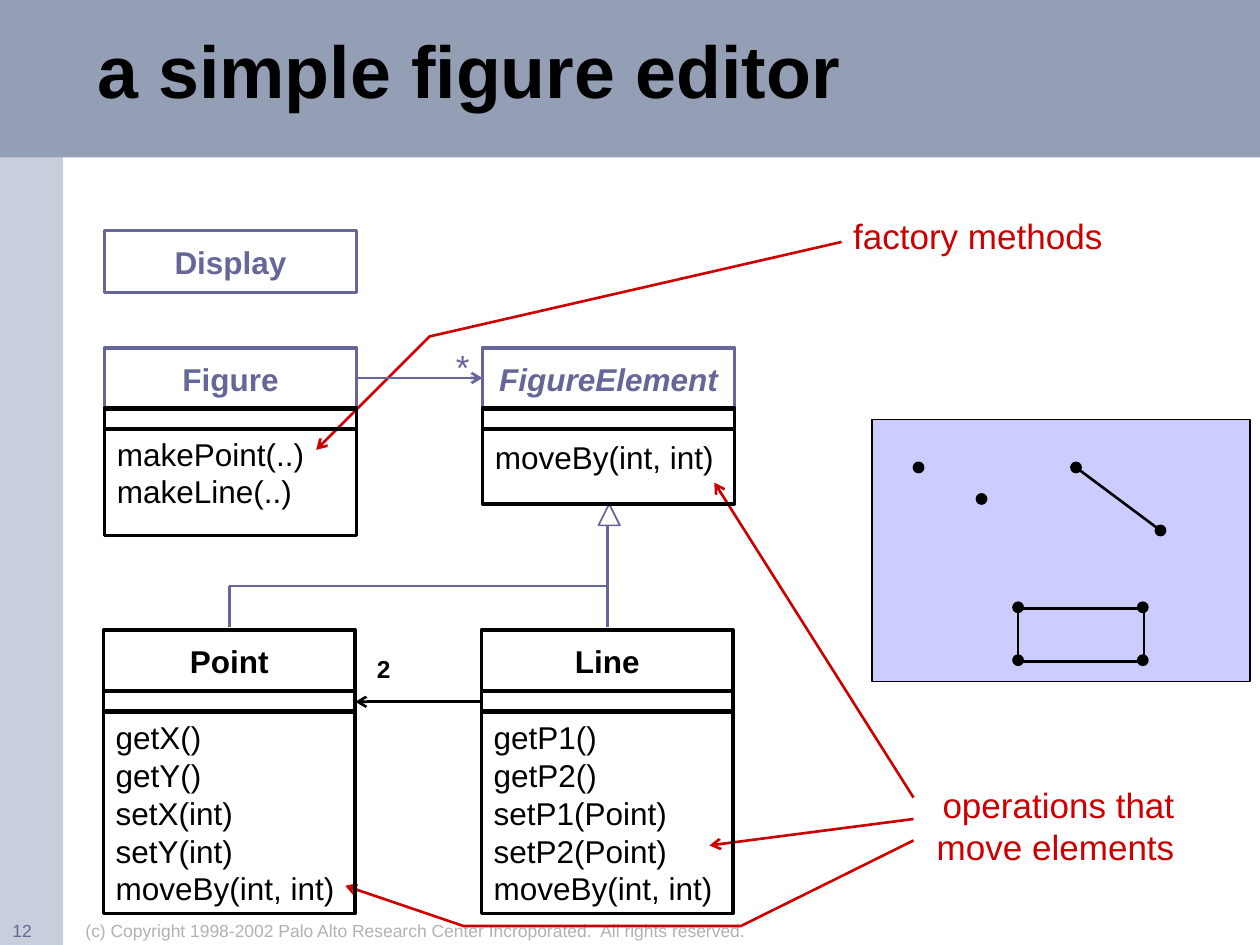
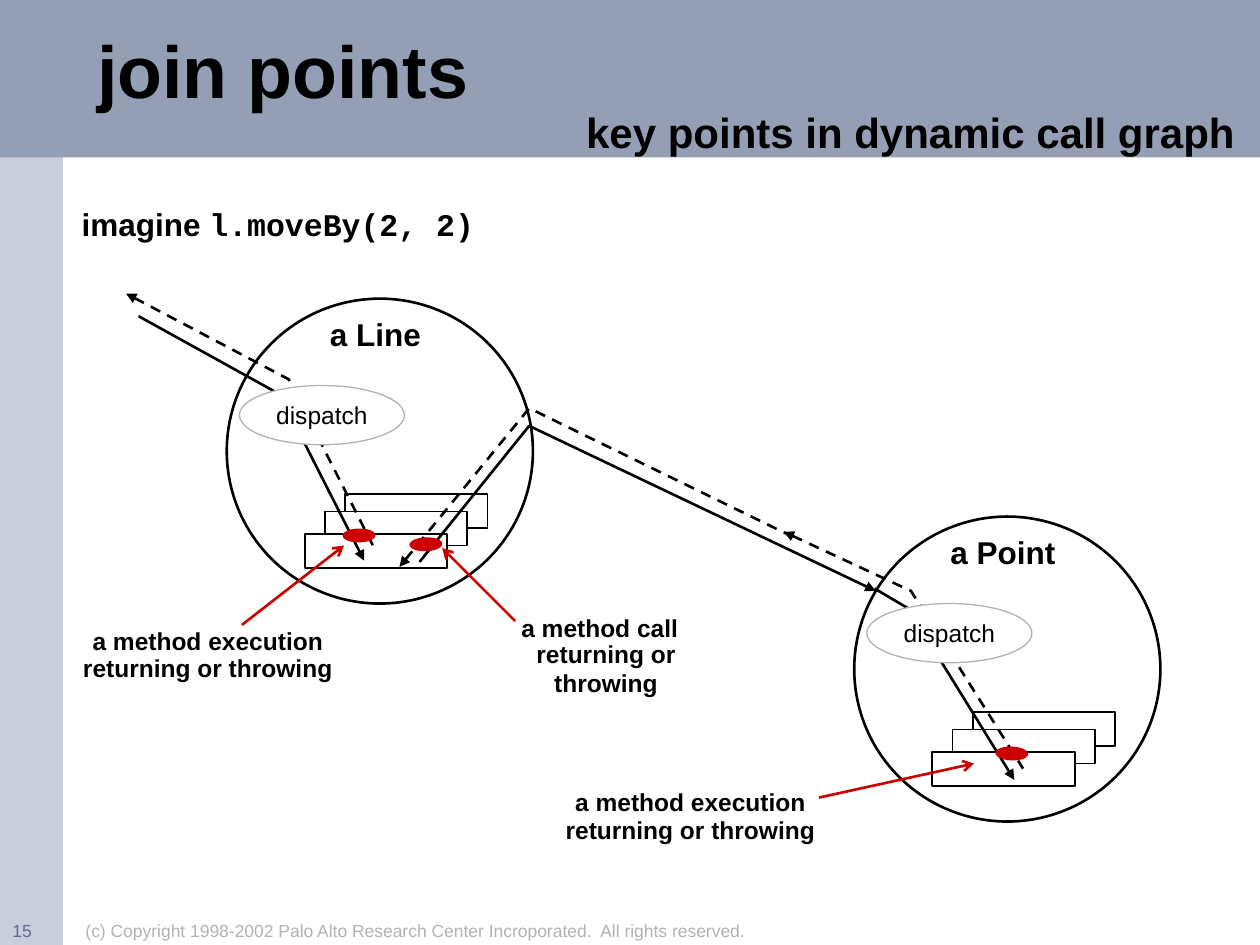
from dataclasses import dataclass
from itertools import product
from typing import Optional

from lxml import etree
from pptx import Presentation, util as u
from pptx.dml.color import RGBColor
from pptx.enum import dml, shapes, text
from pptx.oxml.ns import qn

COLORS = {
    "band": "949FB6", "side": "C8CEDC", "ink": "000000", "paper": "FFFFFF",
    "accent": "CC0000", "model": "666699", "canvas": "CCCCFF", "muted": "B2B2B2",
}
SANS, MONO = "Arial", "Courier New"
COLUMNS, ROWS = 100, 75
WIDTH, HEIGHT = u.Inches(10), u.Inches(7.5)
COPYRIGHT = ("(c) Copyright 1998-2002 Palo Alto Research Center Incroporated."
             "  All rights reserved.")
RECT, OVAL = shapes.MSO_SHAPE.RECTANGLE, shapes.MSO_SHAPE.OVAL
LEFT, CENTER, RIGHT = text.PP_ALIGN.LEFT, text.PP_ALIGN.CENTER, text.PP_ALIGN.RIGHT

Point = tuple[float, float]
Box = tuple[float, float, float, float]


@dataclass(frozen=True)
class Style:
    size: float = 18
    color: str = "ink"
    bold: bool = False
    italic: bool = False
    font: str = SANS


@dataclass(frozen=True)
class UmlClass:
    name: str
    left: float
    top: float
    body_top: float
    body_height: float
    methods: tuple[str, ...]
    color: str = "ink"
    abstract: bool = False


@dataclass(frozen=True)
class Route:
    points: tuple[Point, ...]
    color: str = "ink"
    head: Optional[str] = None
    tail: Optional[str] = None
    dashed: bool = False


@dataclass(frozen=True)
class Instance:
    label: str
    left: float
    top: float


@dataclass(frozen=True)
class JoinPoint:
    label: str
    label_box: Box
    outcome_box: Box
    center: Point
    tilt: float
    arrow: tuple[Point, Point]


CAPTION = Style(14, bold=True)
NOTE = Style(20, "accent")

# Slide 1
DISPLAY_BOX = (8.3, 18.3, 20, 4.9)
CLASSES = (
    UmlClass("Point", 8.2, 50, 56.5, 16,
             ("getX()", "getY()", "setX(int)", "setY(int)", "moveBy(int, int)")),
    UmlClass("Line", 38.2, 50, 56.5, 16,
             ("getP1()", "getP2()", "setP1(Point)", "setP2(Point)", "moveBy(int, int)")),
    UmlClass("Figure", 8.3, 27.6, 32.5, 10, ("makePoint(..)", "makeLine(..)"), "model"),
    UmlClass("FigureElement", 38.3, 27.6, 32.5, 7.5, ("moveBy(int, int)",), "model", True),
)
INHERITANCE = (
    ((18.2, 49.8), (18.2, 46.5)),
    ((48.2, 49.8), (48.2, 46.5)),
    ((18.2, 46.5), (48.2, 46.5)),
    ((48.2, 46.5), (48.2, 41.5)),
)
CALLOUTS = (
    ((72.5, 63.3), (56.7, 38.3)),
    ((72.5, 66.7), (58.8, 73.5), (36.8, 73.5), (27.4, 70.3)),
    ((72.5, 65), (56.3, 67.1)),
    ((66.8, 19.2), (34.1, 26.7), (25.1, 35.7)),
)
DRAWN_POINTS = ((77.5, 39.2), (72.5, 36.7), (91.7, 41.7), (85, 36.7),
                *product((80.4, 90.3), (47.8, 52)))

# Slide 2
INSTANCES = (Instance("a Line", 18, 23.7), Instance("a Point", 67.8, 41))
METHOD_OFFSETS = ((9.4, 15.5), (7.8, 16.9), (6.2, 18.7))
CALLS = (
    Route(((31.7, 45), (42, 32.4), (62.9, 42.6)), head="triangle", dashed=True),
    Route(((33.3, 44.6), (42, 33.8), (69.5, 46.9)), tail="triangle"),
    Route(((11, 25.1), (22.2, 31.3), (28.9, 44.5)), tail="triangle"),
    Route(((69.4, 46.7), (72.1, 48.3), (80.5, 61.9)), tail="triangle"),
    Route(((10, 23.3), (22.9, 30.1), (29.8, 43.7)), head="triangle", dashed=True),
    Route(((62.2, 42.2), (72.3, 46.9), (81.2, 61)), head="triangle", dashed=True),
)
JOIN_POINTS = (
    JoinPoint("a method call", (38, 48.2, 19.2, 3.4), (38.1, 50.2, 20, 5.7),
              (33.8, 43.2), -2.2, ((40.9, 49.3), (35.1, 43.5))),
    JoinPoint("a method execution", (6.1, 49.2, 20.8, 3.4), (5, 51.3, 23, 3.4),
              (28.5, 42.5), -0.7, ((19.2, 49.6), (27.3, 43.3))),
    JoinPoint("a method execution", (44.4, 62, 20.8, 3.4), (43.3, 64.2, 23, 3.4),
              (80.3, 59.8), 2.3, ((65, 63.3), (77.3, 60.6))),
)


def rgb(name: str) -> RGBColor:
    return RGBColor.from_string(COLORS[name])


def x(columns: float) -> int:
    return round(WIDTH * columns / COLUMNS)


def y(rows: float) -> int:
    return round(HEIGHT * rows / ROWS)


def place(box: Box) -> tuple[int, int, int, int]:
    left, top, width, height = box
    return x(left), y(top), x(width), y(height)


def add_run(paragraph, wording: str, style: Style) -> None:
    run = paragraph.add_run()
    run.text = wording
    font = run.font
    font.name, font.size = style.font, u.Pt(style.size)
    font.bold, font.italic = style.bold, style.italic
    font.color.rgb = rgb(style.color)


def write(shape, runs, align=LEFT, anchor=text.MSO_ANCHOR.TOP, wrap=True):
    """Fill a shape with (wording, style) runs; a None entry breaks the line."""
    frame = shape.text_frame
    frame.auto_size = text.MSO_AUTO_SIZE.NONE
    frame.word_wrap, frame.vertical_anchor = wrap, anchor
    paragraph = frame.paragraphs[0]
    paragraph.alignment = align
    for run in runs:
        if run is None:
            paragraph.add_line_break()
        else:
            add_run(paragraph, *run)
    return paragraph


def add_label(slide, box: Box, wording: str, style: Style, align=CENTER) -> None:
    write(slide.shapes.add_textbox(*place(box)), [(wording, style)], align)


def add_figure(slide, kind, box: Box, fill: Optional[str] = None,
               line: Optional[str] = "ink", weight: float = 1):
    shape = slide.shapes.add_shape(kind, *place(box))
    shape.shadow.inherit = False
    if fill:
        shape.fill.solid()
        shape.fill.fore_color.rgb = rgb(fill)
    else:
        shape.fill.background()
    if line:
        shape.line.color.rgb = rgb(line)
        shape.line.width = u.Pt(weight)
    else:
        shape.line.fill.background()
    return shape


def add_route(slide, route: Route) -> None:
    """Draw a straight route as a connector and a bent one as an open freeform."""
    points = [(x(column), y(row)) for column, row in route.points]
    if len(points) == 2:
        shape = slide.shapes.add_connector(
            shapes.MSO_CONNECTOR.STRAIGHT, *points[0], *points[1])
    else:
        builder = slide.shapes.build_freeform(*points[0])
        builder.add_line_segments(points[1:], close=False)
        shape = builder.convert_to_shape()
        shape.fill.background()
    shape.line.color.rgb = rgb(route.color)
    shape.line.width = u.Pt(1.5)
    if route.dashed:
        shape.line.dash_style = dml.MSO_LINE.DASH
    properties = shape.element.spPr
    outline = properties.find(qn("a:ln"))
    for tag, arrow in (("a:headEnd", route.head), ("a:tailEnd", route.tail)):
        if arrow:
            etree.SubElement(outline, qn(tag), type=arrow)
    etree.SubElement(properties, qn("a:effectLst"))


def add_bands(prs, slide) -> None:
    """Draw the side and top bands, then move them to the master's background."""
    bands = (((0, 0, 5, ROWS), "side"), ((0, 0, COLUMNS, 12.5), "band"))
    for position, (box, color) in enumerate(bands, start=2):
        band = add_figure(slide, RECT, box, color, None)
        prs.slide_master.shapes.element.insert(position, band.element)


def add_slide(prs, title: str, number: int):
    slide = prs.slides.add_slide(prs.slide_layouts[5])
    heading = slide.shapes.title
    heading.left, heading.top, heading.width, heading.height = place((6.7, 0.8, 83.3, 10.5))
    paragraph = write(heading, [(title, Style(42, bold=True))],
                      anchor=text.MSO_ANCHOR.MIDDLE)
    paragraph.line_spacing = 0.85
    add_label(slide, (5.8, 72.5, 55.8, 2.5), COPYRIGHT, Style(10, "muted"), LEFT)
    add_label(slide, (0, 72.5, 5, 2.5), str(number), Style(10, "model"), LEFT)
    return slide


def add_class_name(slide, box: Box, name: str, color: str, abstract=False) -> None:
    write(add_figure(slide, RECT, box, line=color, weight=2),
          [(name, Style(color=color, bold=True, italic=abstract))],
          CENTER, text.MSO_ANCHOR.MIDDLE, wrap=False)


def add_class(slide, uml: UmlClass) -> None:
    add_class_name(slide, (uml.left, uml.top, 20, 4.9), uml.name, uml.color, uml.abstract)
    body = add_figure(slide, RECT, (uml.left, uml.body_top, 20, uml.body_height), weight=2)
    runs = []
    for method in uml.methods:
        runs += [None, (method, Style())]
    write(body, runs[1:], anchor=text.MSO_ANCHOR.MIDDLE, wrap=False)
    add_figure(slide, RECT, (uml.left, uml.top + 4.8, 20, 1.65), weight=2)


def add_drawing_canvas(slide) -> None:
    add_figure(slide, RECT, (69.2, 33.3, 30, 20.8), "canvas")
    add_route(slide, Route(((85.4, 37.1), (92.1, 42.1))))
    add_figure(slide, RECT, (80.8, 48.3, 10, 4.2), weight=1.5)
    for left, top in DRAWN_POINTS:
        add_figure(slide, OVAL, (left, top, 0.8, 0.8), "ink")


def build_figure_editor(slide) -> None:
    add_drawing_canvas(slide)
    for points in CALLOUTS:
        add_route(slide, Route(points, "accent", tail="arrow"))
    add_label(slide, (71.7, 61.7, 22.5, 7.7), "operations that move elements", NOTE, RIGHT)
    add_label(slide, (66, 16.5, 22.5, 4.4), "factory methods", NOTE, RIGHT)
    add_class_name(slide, DISPLAY_BOX, "Display", "model")
    add_route(slide, Route(((28.3, 30), (38.3, 30)), "model", tail="arrow"))
    add_label(slide, (35.2, 26.9, 2.5, 4.4), "*", Style(20, "model"))
    add_route(slide, Route(((38.2, 55.7), (28.2, 55.7)), tail="arrow"))
    add_label(slide, (28.8, 51.4, 3.3, 3.4), "2", CAPTION)
    for points in INHERITANCE:
        add_route(slide, Route(points, "model"))
    add_figure(slide, shapes.MSO_SHAPE.ISOSCELES_TRIANGLE, (47.5, 40, 1.7, 1.7),
               "paper", "model")
    for uml in CLASSES:
        add_class(slide, uml)


def add_instance(slide, instance: Instance) -> None:
    for right, down in METHOD_OFFSETS:
        add_figure(slide, RECT, (instance.left + right, instance.top + down, 11.3, 2.7),
                   "paper")
    add_figure(slide, OVAL, (instance.left, instance.top, 24.3, 24.2), weight=1.5)
    add_label(slide, (instance.left + 5.3, instance.top + 0.8, 13, 4),
              instance.label, Style(bold=True))


def add_dispatch(slide, instance: Instance) -> None:
    oval = add_figure(slide, OVAL, (instance.left + 1, instance.top + 6.9, 13.1, 4.7),
                      "paper", "muted", 0.75)
    write(oval, [("dispatch", Style(14))], CENTER, text.MSO_ANCHOR.MIDDLE, wrap=False)


def add_join_point(slide, join: JoinPoint) -> None:
    column, row = join.center
    marker = add_figure(slide, OVAL, (column - 1.25, row - 0.5, 2.5, 1),
                        "accent", "accent", 0.75)
    marker.rotation = join.tilt
    add_route(slide, Route(join.arrow, "accent", tail="arrow"))
    add_label(slide, join.label_box, join.label, CAPTION)
    add_label(slide, join.outcome_box, "returning or throwing", CAPTION)


def build_join_points(slide) -> None:
    for instance in INSTANCES:
        add_instance(slide, instance)
    for call in CALLS:
        add_route(slide, call)
    for instance in INSTANCES:
        add_dispatch(slide, instance)
    for join in JOIN_POINTS:
        add_join_point(slide, join)
    add_label(slide, (34.2, 8, 64.8, 5), "key points in dynamic call graph",
              Style(24, bold=True), RIGHT)
    write(slide.shapes.add_textbox(*place((3.3, 15.8, 37.5, 4))),
          [("imagine ", Style(bold=True)), ("l.moveBy(2, 2)", Style(bold=True, font=MONO))],
          CENTER)


def main() -> None:
    prs = Presentation()
    prs.slide_width, prs.slide_height = WIDTH, HEIGHT
    editor = add_slide(prs, "a simple figure editor", 12)
    add_bands(prs, editor)
    build_figure_editor(editor)
    build_join_points(add_slide(prs, "join points", 15))
    prs.save("out.pptx")


if __name__ == "__main__":
    main()
